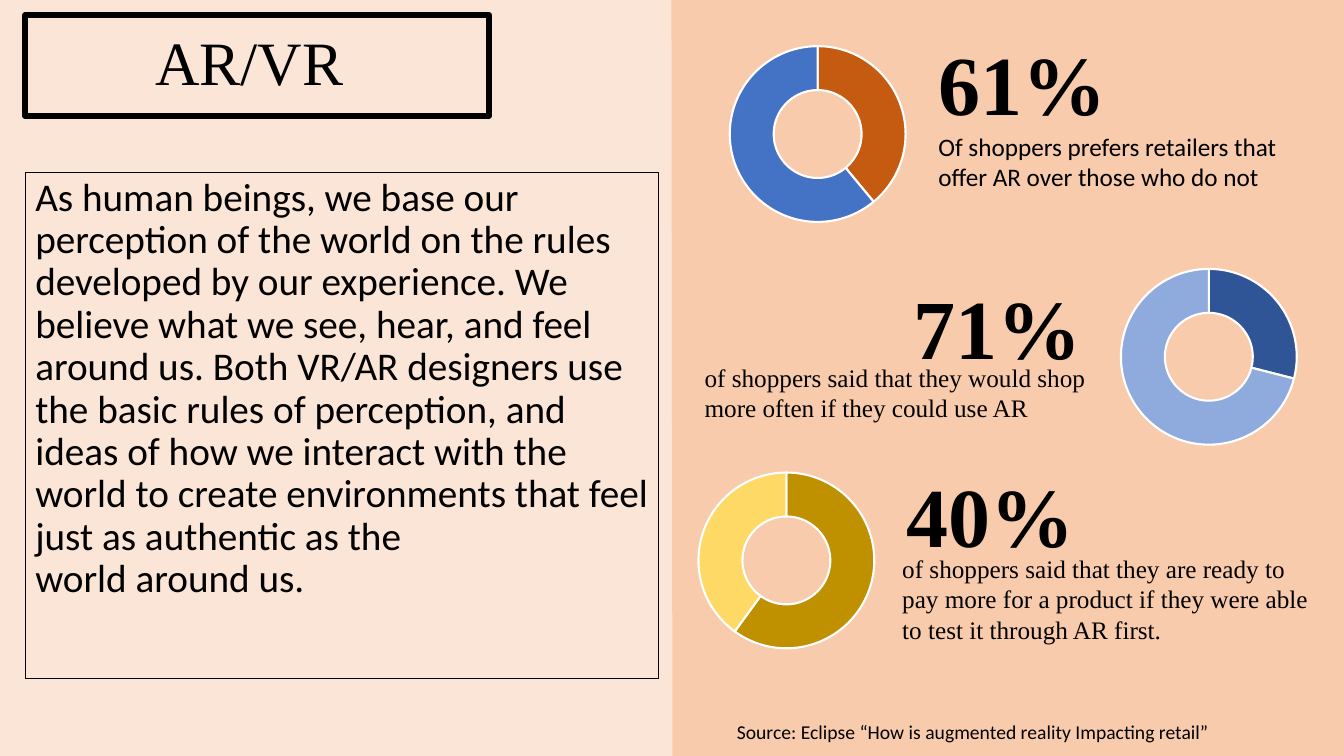
from dataclasses import dataclass

import lxml.etree
import pptx
import pptx.chart.data
import pptx.dml.color
import pptx.enum.chart
import pptx.enum.text
import pptx.oxml.ns
import pptx.util

PX = 9144  # EMU in one px: 100 px to the inch


@dataclass(frozen=True)
class Theme:
    background: str = "FBE5D6"
    panel: str = "F8CBAD"
    ink: str = "000000"
    ring_gap: str = "FFFFFF"
    serif: str = "Times New Roman"
    sans: str = "Calibri"
    title: int = 44
    body: int = 28
    figure: int = 60
    caption: int = 18
    source: int = 14
    chart: int = 10


THEME = Theme()

# The last three words are joined by no-break spaces.
BODY = (
    "As human beings, we base our perception of the world on the rules developed by our "
    "experience. We believe what we see, hear, and feel around us. Both VR/AR designers use "
    "the basic rules of perception, and ideas of how we interact with the world to create "
    "environments that feel just as authentic as the "
    + chr(160).join(["world", "around", "us."])
)

# ring corner, values, colours, figure, figure box, caption, caption box, caption font
STATISTICS = [
    ((702, 32), (39, 61), ("C55A11", "4472C4"), "61%", (921, 26, 218, 111),
     "Of shoppers prefers retailers that offer AR over those who do not",
     (921, 125, 380, 71), THEME.sans),
    ((1090, 253), (29, 71), ("2F5597", "8FAADC"), "71%", (896, 268, 194, 111),
     "of shoppers said that they would shop more often if they could use AR",
     (689, 354, 410, 71), THEME.serif),
    ((671, 455), (60, 40), ("BF9000", "FFD966"), "40%", (889, 455, 218, 111),
     "of shoppers said that they are ready to pay more for a product if they were able "
     "to test it through AR first.",
     (885, 544, 428, 101), THEME.serif),
]


def rgb(value):
    return pptx.dml.color.RGBColor.from_string(value)


def emu(lengths):
    return [length * PX for length in lengths]


def style_font(font, name, size, bold=False):
    font.name = name
    font.size = pptx.util.Pt(size)
    font.bold = bold
    font.color.rgb = rgb(THEME.ink)


def fill_placeholder(placeholder, box, text, name, size, line_width):
    """Move a placeholder, outline it and give it one unbulleted paragraph."""
    placeholder.left, placeholder.top, placeholder.width, placeholder.height = emu(box)
    placeholder.line.color.rgb = rgb(THEME.ink)
    placeholder.line.width = pptx.util.Pt(line_width)
    frame = placeholder.text_frame
    frame.text = text
    frame.auto_size = pptx.enum.text.MSO_AUTO_SIZE.NONE
    paragraph = frame.paragraphs[0]
    properties = paragraph._p.get_or_add_pPr()
    properties.set("marL", "0")
    properties.set("indent", "0")
    lxml.etree.SubElement(properties, pptx.oxml.ns.qn("a:buNone"))
    paragraph.line_spacing = 0.9
    paragraph.space_before = pptx.util.Pt(0)
    style_font(paragraph.font, name, size)
    return paragraph


def add_panel(slide):
    builder = slide.shapes.build_freeform(666, -2, scale=PX)
    builder.add_line_segments([(1333, 0), (1333, 750), (667, 750)], close=True)
    panel = builder.convert_to_shape()
    panel.shadow.inherit = False
    panel.fill.solid()
    panel.fill.fore_color.rgb = rgb(THEME.panel)
    panel.line.fill.background()


def add_text(slide, box, text, name, size, bold=False):
    frame = slide.shapes.add_textbox(*emu(box)).text_frame
    frame.word_wrap = True
    frame.text = text
    style_font(frame.paragraphs[0].font, name, size, bold)


def add_ring(slide, corner, values, colors):
    data = pptx.chart.data.CategoryChartData()
    data.categories = ["1", "2"]
    data.add_series("Series 1", values)
    chart = slide.shapes.add_chart(
        pptx.enum.chart.XL_CHART_TYPE.DOUGHNUT, *emu((*corner, 218, 202)), data
    ).chart
    chart.has_legend = False
    chart.has_title = False
    style_font(chart.font, THEME.sans, THEME.chart)
    plot = chart.plots[0]
    plot.vary_by_categories = True
    hole = chart._chartSpace.find(".//" + pptx.oxml.ns.qn("c:holeSize"))
    hole.set("val", "75")
    for index, color in enumerate(colors):
        segment = plot.series[0].points[index].format
        segment.fill.solid()
        segment.fill.fore_color.rgb = rgb(color)
        segment.line.color.rgb = rgb(THEME.ring_gap)
        segment.line.width = pptx.util.Pt(1.5)


def main():
    presentation = pptx.Presentation()
    presentation.slide_width, presentation.slide_height = emu((1333, 750))
    slide = presentation.slides.add_slide(presentation.slide_layouts[1])
    slide.background.fill.solid()
    slide.background.fill.fore_color.rgb = rgb(THEME.background)
    add_panel(slide)

    title = fill_placeholder(
        slide.shapes.title, (25, 15, 460, 100), "AR/VR ", THEME.serif, THEME.title, 4
    )
    title.alignment = pptx.enum.text.PP_ALIGN.CENTER
    fill_placeholder(
        slide.placeholders[1], (25, 171, 628, 502), BODY, THEME.sans, THEME.body, 1
    )

    for corner, values, colors, figure, figure_box, caption, caption_box, font in STATISTICS:
        add_ring(slide, corner, values, colors)
        add_text(slide, figure_box, figure, THEME.serif, THEME.figure, bold=True)
        add_text(slide, caption_box, caption, font, THEME.caption)
    add_text(
        slide, (721, 709, 533, 34),
        "Source: Eclipse “How is augmented reality Impacting retail”",
        THEME.sans, THEME.source,
    )
    presentation.save("out.pptx")


if __name__ == "__main__":
    main()
